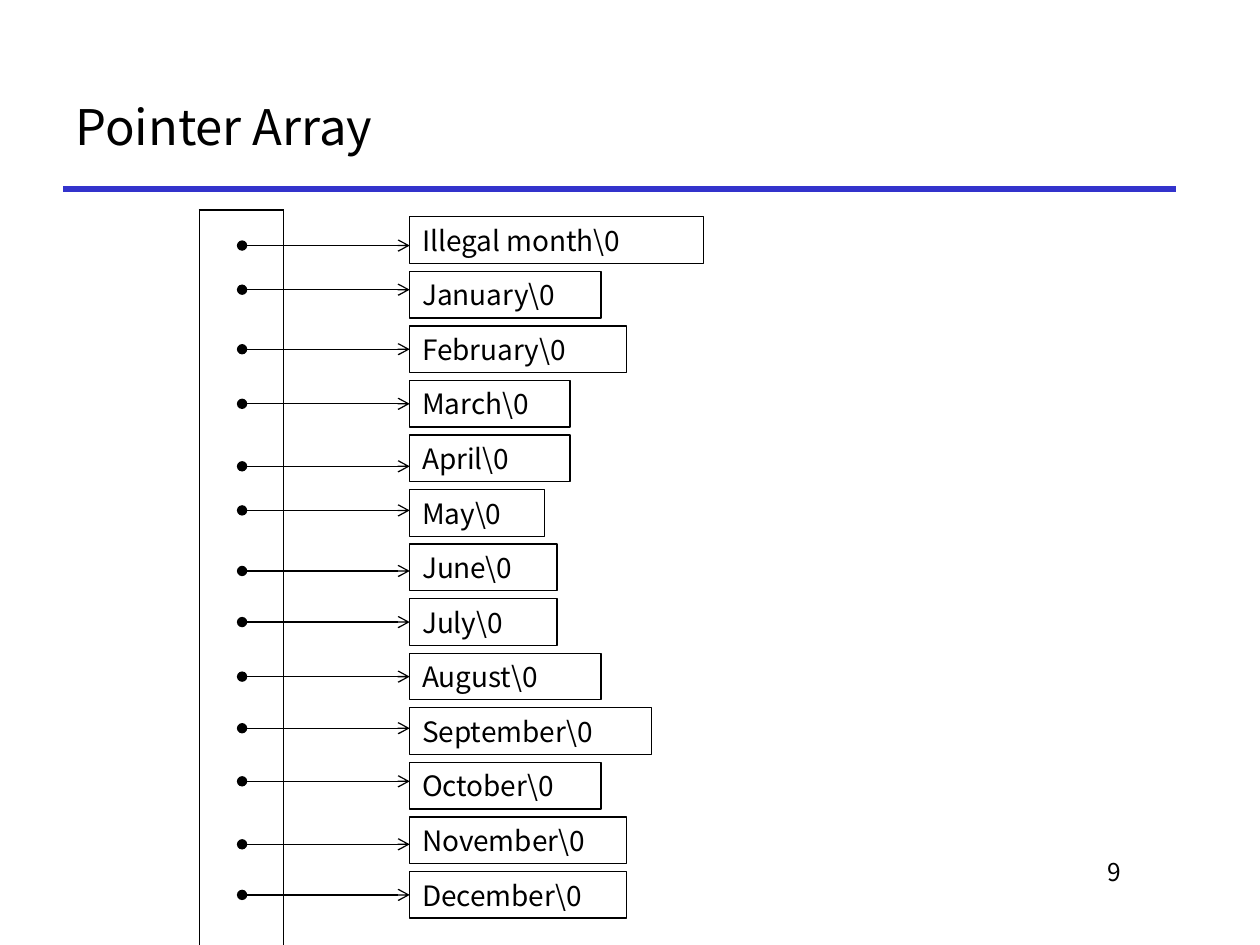
from dataclasses import dataclass

import pptx
import pptx.dml.color
import pptx.enum.shapes
import pptx.enum.text
import pptx.oxml.ns
import pptx.util
from lxml import etree
from pptx.util import Cm, Pt

BLACK = pptx.dml.color.RGBColor(0x00, 0x00, 0x00)
WHITE = pptx.dml.color.RGBColor(0xFF, 0xFF, 0xFF)
BLUE = pptx.dml.color.RGBColor(0x33, 0x33, 0xCC)
FONT = "Noto Sans CJK KR"
ALIGN = pptx.enum.text.PP_ALIGN
ANCHOR = pptx.enum.text.MSO_ANCHOR
qn = pptx.oxml.ns.qn

BOX_LEFT, BOX_TOP, BOX_HEIGHT, BOX_PITCH = 8.26, 4.37, 0.94, 1.1
ARROW_START = 4.88
JOIN_TOLERANCE = 0.04


@dataclass
class Month:
    name: str
    width: float
    arrow_y: float


MONTHS = [
    Month("Illegal month", 5.92, 4.95),
    Month("January", 3.86, 5.84),
    Month("February", 4.37, 7.06),
    Month("March", 3.23, 8.13),
    Month("April", 3.23, 9.4),
    Month("May", 2.72, 10.29),
    Month("June", 2.97, 11.51),
    Month("July", 2.97, 12.57),
    Month("August", 3.86, 13.61),
    Month("September", 4.88, 14.68),
    Month("October", 3.86, 15.75),
    Month("November", 4.37, 17.02),
    Month("December", 4.37, 18.06),
]


def write(shape, text: str, size: int, align=ALIGN.LEFT, anchor=ANCHOR.MIDDLE) -> None:
    frame = shape.text_frame
    frame.text = text
    frame.word_wrap = True
    frame.auto_size = pptx.enum.text.MSO_AUTO_SIZE.NONE
    frame.vertical_anchor = anchor
    paragraph = frame.paragraphs[0]
    paragraph.alignment = align
    span = paragraph.runs[0]
    span.font.name = FONT
    span.font.size = Pt(size)
    span.font.color.rgb = BLACK


def add_line(page, start: tuple, end: tuple, color, width: float):
    line = page.shapes.add_connector(
        pptx.enum.shapes.MSO_CONNECTOR.STRAIGHT, *map(Cm, start + end))
    line.line.color.rgb = color
    line.line.width = Pt(width)
    etree.SubElement(line._element.spPr, qn("a:effectLst"))
    return line


def add_month_box(page, month: Month, top: float):
    box = page.shapes.add_shape(
        pptx.enum.shapes.MSO_SHAPE.RECTANGLE,
        Cm(BOX_LEFT), Cm(top), Cm(month.width), Cm(BOX_HEIGHT))
    box.shadow.inherit = False
    box.fill.background()
    box.line.color.rgb = BLACK
    box.line.width = Pt(0.75)
    write(box, month.name + "\\0", 16)
    return box


def add_pointer(page, month: Month, box, middle: float) -> None:
    """Draw the arrow to a month box, joined where it meets the side's middle."""
    y = month.arrow_y
    joined = abs(y - middle) <= JOIN_TOLERANCE
    if joined:
        y = middle
    arrow = add_line(page, (ARROW_START, y), (BOX_LEFT, y), BLACK, 0.75)
    outline = arrow.line._get_or_add_ln()
    etree.SubElement(outline, qn("a:headEnd"), type="oval")
    etree.SubElement(outline, qn("a:tailEnd"), type="arrow")
    if joined:
        arrow.end_connect(box, 1)


def set_borders(cell, visible: set) -> None:
    properties = cell._tc.get_or_add_tcPr()
    for side in "LRTB":
        border = etree.SubElement(properties, qn(f"a:ln{side}"), w=str(Pt(1)))
        if side in visible:
            fill = etree.SubElement(border, qn("a:solidFill"))
            etree.SubElement(fill, qn("a:srgbClr"), val=str(BLACK))
        else:
            etree.SubElement(border, qn("a:noFill"))


def add_pointer_array(page) -> None:
    count = len(MONTHS)
    table = page.shapes.add_table(
        count, 1, Cm(4.02), Cm(4.23), Cm(1.7), Cm(1.1 * count)).table
    table.first_row = False
    table.horz_banding = False
    for index in range(count):
        cell = table.cell(index, 0)
        visible = {"L", "R"}
        if index == 0:
            visible.add("T")
        if index == count - 1:
            visible.add("B")
        set_borders(cell, visible)
        cell.fill.solid()
        cell.fill.fore_color.rgb = WHITE
        # The size of the empty text sets the least row height
        ending = etree.SubElement(
            cell.text_frame.paragraphs[0]._p, qn("a:endParaRPr"), sz="2000")
        etree.SubElement(ending, qn("a:latin"), typeface=FONT)


def main() -> None:
    deck = pptx.Presentation()
    deck.slide_width, deck.slide_height = Cm(25.4), Cm(19.05)
    page = deck.slides.add_slide(deck.slide_layouts[5])

    title = page.shapes.title
    title.left, title.top, title.width, title.height = map(Cm, (1.27, 1.27, 22.43, 2.54))
    write(title, "Pointer Array", 28)
    add_line(page, (1.27, 3.81), (23.7, 3.81), BLUE, 3)

    number = page.shapes.add_textbox(Cm(19.25), Cm(17.15), Cm(3.61), Cm(1.27))
    write(number, "9", 14, ALIGN.RIGHT, ANCHOR.TOP)

    add_pointer_array(page)
    for index, month in enumerate(MONTHS):
        top = BOX_TOP + index * BOX_PITCH
        box = add_month_box(page, month, top)
        add_pointer(page, month, box, top + BOX_HEIGHT / 2)

    deck.save("out.pptx")


if __name__ == "__main__":
    main()
